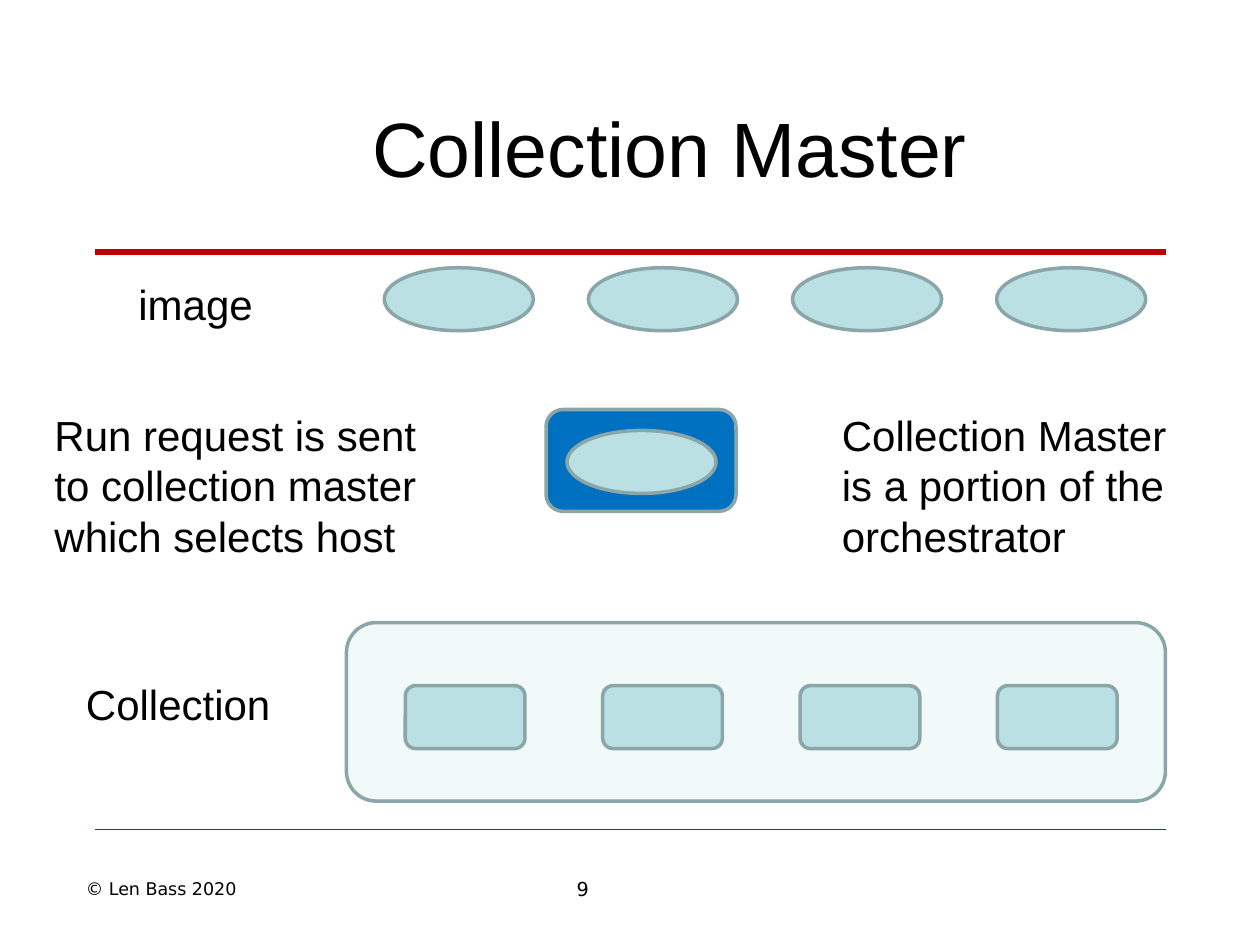
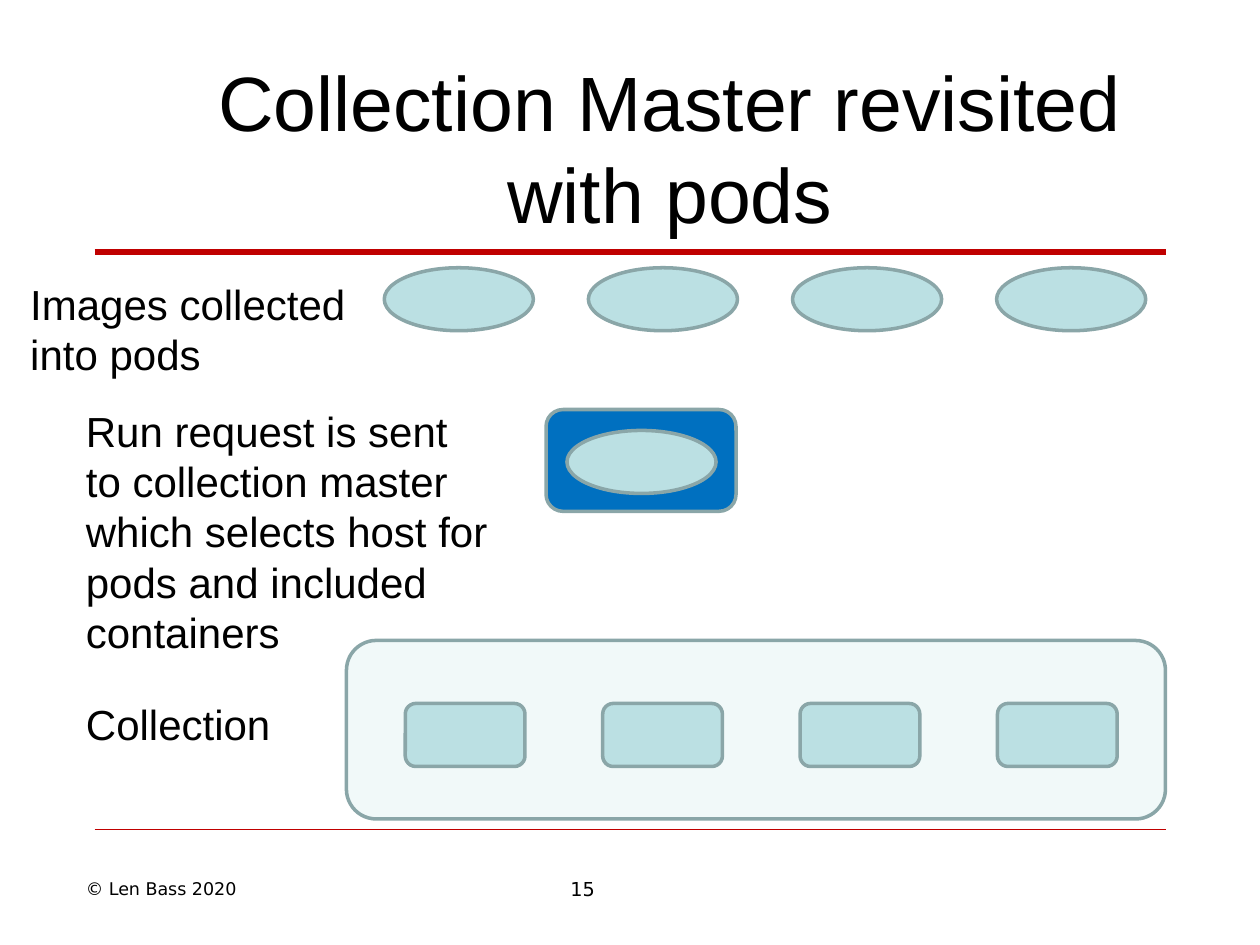
from dataclasses import dataclass

from lxml import etree
from pptx import Presentation
from pptx import util as u
from pptx.dml.color import RGBColor
from pptx.enum import shapes, text
from pptx.oxml.ns import qn

COLOURS = {
    "ink": "000000",
    "rule": "C00000",
    "outline": "8AA6A8",
    "item": "BBE0E3",
    "master": "0070C0",
    "collection": "F1F9F9",
}
BODY_FONT, FOOTER_FONT = "Arial", "DejaVu Sans"

# Grid of 120 columns by 90 rows
SLIDE_WIDTH, SLIDE_HEIGHT = u.Inches(10), u.Inches(7.5)
COLUMN, ROW = SLIDE_WIDTH / 120, SLIDE_HEIGHT / 90

OVAL = shapes.MSO_SHAPE.OVAL
ROUNDED = shapes.MSO_SHAPE.ROUNDED_RECTANGLE


@dataclass(frozen=True)
class Box:
    """A place on the grid, in columns and rows."""
    left: float
    top: float
    width: float
    height: float

    def lengths(self) -> tuple[int, int, int, int]:
        return (round(self.left * COLUMN), round(self.top * ROW),
                round(self.width * COLUMN), round(self.height * ROW))


@dataclass(frozen=True)
class Label:
    wording: str
    box: Box


@dataclass(frozen=True)
class Page:
    title: str
    number: int
    collection_top: float
    labels: tuple[Label, ...]


TITLE_BOX = Box(13.2, 7, 101.2, 14)
MASTER_BOX = Box(52, 39, 18.1, 9.7)
PLACED_IMAGE_BOX = Box(54, 41, 14.2, 6)
IMAGE_BOXES = [Box(36.6 + 19.44 * i, 25.5, 14.2, 6) for i in range(4)]
RULES = ((24, 3), (79, 1))  # row, line width in points

PAGES = (
    Page("Collection Master", 9, 59.3, (
        Label("image", Box(12, 25.9, 14, 6.1)),
        Label("Collection", Box(7, 64, 32, 6.1)),
        Label("Run request is sent to collection master which selects host",
              Box(4, 38.4, 38, 20.6)),
        Label("Collection Master is a portion of the orchestrator",
              Box(79, 38.4, 37, 15.7)),
    )),
    Page("Collection Master revisited with pods", 15, 61, (
        Label("Images collected into pods", Box(1.7, 25.9, 32.9, 10.9)),
        Label("Collection", Box(7, 65.9, 32, 6.1)),
        Label("Run request is sent to collection master which selects host "
              "for pods and included containers", Box(7, 38, 41, 25.4)),
    )),
)


def colour(name: str) -> RGBColor:
    return RGBColor.from_string(COLOURS[name])


def write(frame, wording: str, size: float, font: str = BODY_FONT,
          align=text.PP_ALIGN.LEFT) -> None:
    frame.word_wrap = True
    paragraph = frame.paragraphs[0]
    paragraph.alignment = align
    run = paragraph.add_run()
    run.text = wording
    run.font.size = u.Pt(size)
    run.font.name = font
    run.font.color.rgb = colour("ink")


def add_text(slide, label: Label, size: float = 24, font: str = BODY_FONT,
             align=text.PP_ALIGN.LEFT) -> None:
    frame = slide.shapes.add_textbox(*label.box.lengths()).text_frame
    write(frame, label.wording, size, font, align)
    frame.auto_size = text.MSO_AUTO_SIZE.SHAPE_TO_FIT_TEXT


def add_node(parent, kind, box: Box, fill: str) -> None:
    shape = parent.shapes.add_shape(kind, *box.lengths())
    shape.shadow.inherit = False
    shape.fill.solid()
    shape.fill.fore_color.rgb = colour(fill)
    shape.line.color.rgb = colour("outline")
    shape.line.width = u.Pt(2)


def add_rule(slide, row: float, width: float) -> None:
    left, top, length, _ = Box(9, row, 102, 0).lengths()
    rule = slide.shapes.add_connector(
        shapes.MSO_CONNECTOR.STRAIGHT, left, top, left + length, top)
    rule.line.color.rgb = colour("rule")
    rule.line.width = u.Pt(width)
    etree.SubElement(rule._element.spPr, qn("a:effectLst"))


def add_collection(slide, top: float) -> None:
    group = slide.shapes.add_group_shape()
    add_node(group, ROUNDED, Box(33, top, 78, 17), "collection")
    for i in range(4):
        add_node(group, ROUNDED, Box(38.6 + 18.8 * i, top + 6, 11.4, 6), "item")


def add_frame(slide, page: Page) -> None:
    # Title
    title = slide.shapes.title
    title.left, title.top, title.width, title.height = TITLE_BOX.lengths()
    title.text_frame.vertical_anchor = text.MSO_ANCHOR.MIDDLE
    title.text_frame.auto_size = text.MSO_AUTO_SIZE.NONE
    write(title.text_frame, page.title, 44, align=text.PP_ALIGN.CENTER)

    # Rules and footer
    for row, width in RULES:
        add_rule(slide, row, width)
    add_text(slide, Label("© Len Bass 2020", Box(7, 83, 26, 3.2)),
             10, FOOTER_FONT)
    add_text(slide, Label(str(page.number), Box(48, 83, 15, 3.5)),
             11, FOOTER_FONT, text.PP_ALIGN.CENTER)


def add_page(presentation, page: Page) -> None:
    slide = presentation.slides.add_slide(presentation.slide_layouts[5])
    add_frame(slide, page)

    # Images, collection master and collection of hosts
    for box in IMAGE_BOXES:
        add_node(slide, OVAL, box, "item")
    add_node(slide, ROUNDED, MASTER_BOX, "master")
    add_node(slide, OVAL, PLACED_IMAGE_BOX, "item")
    add_collection(slide, page.collection_top)

    for label in page.labels:
        add_text(slide, label)


def main() -> None:
    presentation = Presentation()
    presentation.slide_width = SLIDE_WIDTH
    presentation.slide_height = SLIDE_HEIGHT
    for page in PAGES:
        add_page(presentation, page)
    presentation.save("out.pptx")


if __name__ == "__main__":
    main()
